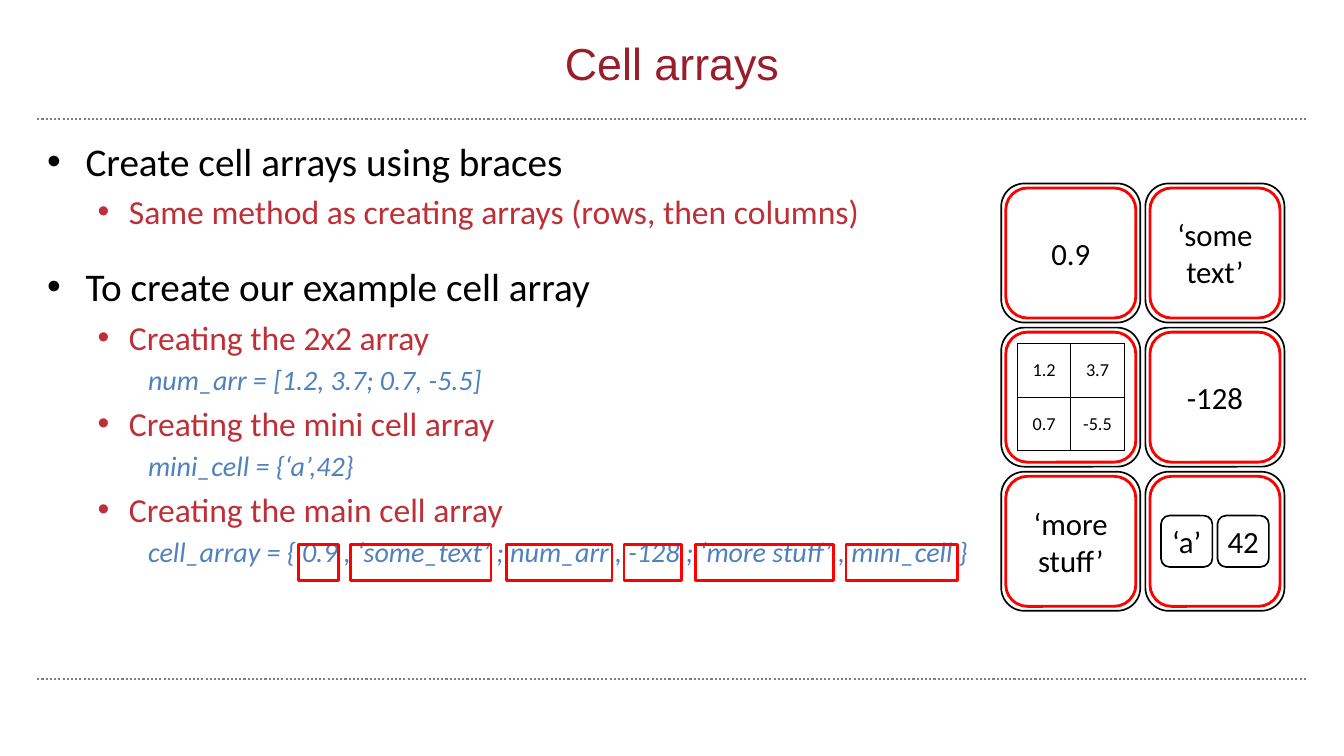
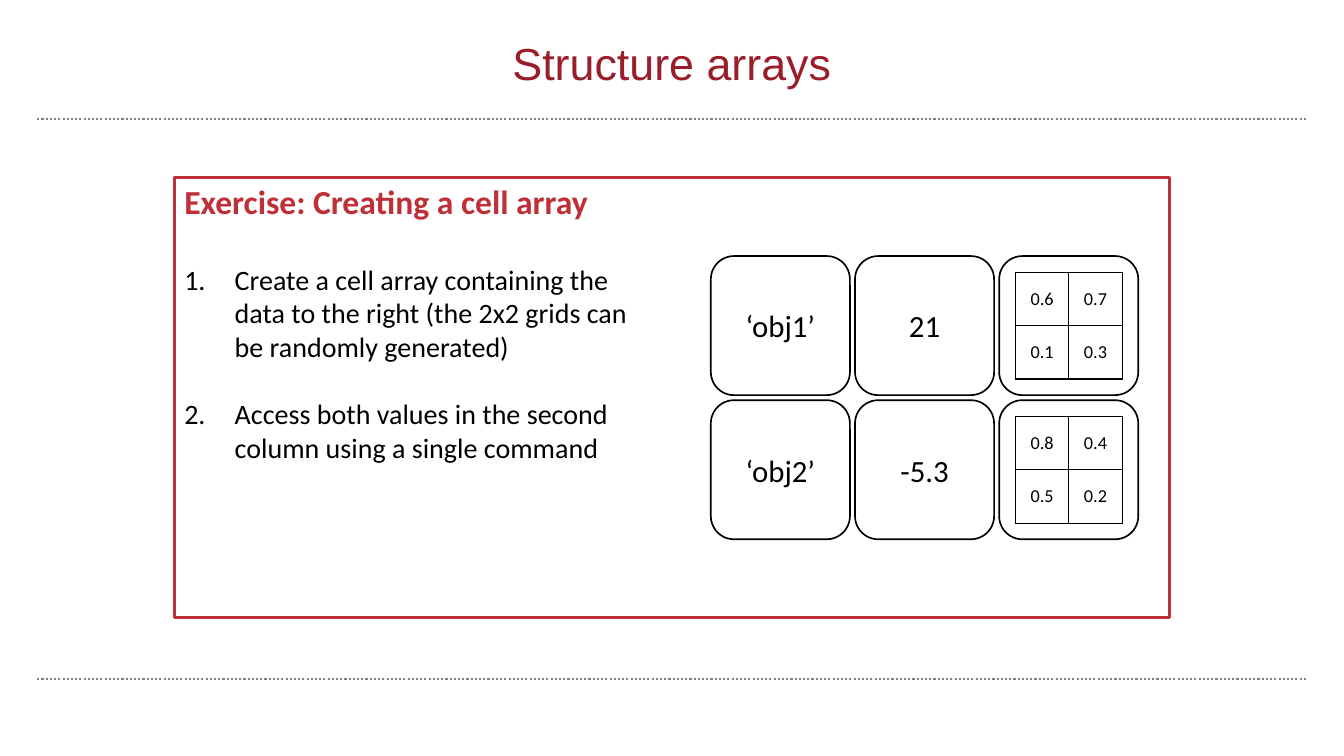
from pptx import Presentation
from pptx.dml.color import RGBColor
from pptx.enum.dml import MSO_LINE
from pptx.enum.shapes import MSO_CONNECTOR, MSO_SHAPE
from pptx.enum.text import MSO_ANCHOR, PP_ALIGN
from pptx.oxml import parse_xml
from pptx.oxml.ns import nsdecls, qn
from pptx.util import Inches, Pt
from lxml.etree import SubElement

WIDTH, HEIGHT = 13.33, 7.5
MARGIN = 0.37
RULES_Y = (1.18, 6.74)

BLACK = RGBColor(0x00, 0x00, 0x00)
WHITE = RGBColor(0xFF, 0xFF, 0xFF)
GREY = RGBColor(0x80, 0x80, 0x80)
TITLE_RED = RGBColor(0x9A, 0x1D, 0x2B)
ACCENT_RED = RGBColor(0xBF, 0x2F, 0x37)
CODE_BLUE = RGBColor(0x4F, 0x81, 0xBD)
HIGHLIGHT = RGBColor(0xFF, 0x00, 0x00)

CELL, PITCH = 1.38, 1.43
RING = 1.29
MINI_CELL, MINI_PITCH = 0.51, 0.56
MATRIX_CELL = 0.53

# style: size, colour, italic, left margin, indent, bullet
LEVELS = [
    (28, BLACK, False, 0.38, -0.38, "•"),
    (24, ACCENT_RED, False, 0.81, -0.31, "•"),
    (20, CODE_BLUE, True, 1, 0, None),
]
GAP_BEFORE_EXAMPLE = 17
# level, text, extra space before
OUTLINE = [
    (0, "Create cell arrays using braces", 0),
    (1, "Same method as creating arrays (rows, then columns)", 0),
    (0, "To create our example cell array", GAP_BEFORE_EXAMPLE),
    (1, "Creating the 2x2 array", 0),
    (2, "num_arr = [1.2, 3.7; 0.7, -5.5]", 0),
    (1, "Creating the mini cell array", 0),
    (2, "mini_cell = {‘a’,42}", 0),
    (1, "Creating the main cell array", 0),
    (2, "cell_array = { 0.9 , ‘some_text’ ; num_arr , -128 ; ‘more stuff’ , mini_cell }", 0),
]
# left and width of the box round each element of the command
CODE_BOXES = [(2.96, 0.4), (3.48, 1.39), (5.02, 1.05),
              (6.19, 0.57), (6.9, 1.37), (8.39, 1.11)]
CODE_BOX_TOP, CODE_BOX_HEIGHT = 5.4, 0.36

# a text fills a cell, a tuple is a nested cell array, a list is a matrix
EXAMPLE_CELLS = [
    ["0.9", "‘some text’"],
    [[["1.2", "3.7"], ["0.7", "-5.5"]], "-128"],
    ["‘more stuff’", ("‘a’", "42")],
]
EXERCISE_CELLS = [
    ["‘obj1’", "21", [["0.6", "0.7"], ["0.1", "0.3"]]],
    ["‘obj2’", "-5.3", [["0.8", "0.4"], ["0.5", "0.2"]]],
]
EXERCISE_TITLE = "Exercise: Creating a cell array"
# text, space before
EXERCISE_STEPS = [
    ("Create a cell array containing the data to the right "
     "(the 2x2 grids can be randomly generated)", 29),
    ("Access both values in the second column using a single command", 24),
]


def inches(*lengths):
    return [Inches(length) for length in lengths]


def format_paragraph(paragraph, size, color, font="Calibri", bold=False, italic=False):
    for run in paragraph.runs:
        run.font.name = font
        run.font.size = Pt(size)
        run.font.color.rgb = color
        run.font.bold = bold
        run.font.italic = italic


def set_indent(paragraph, left, indent, bullet=None, numbered=False):
    properties = paragraph._p.get_or_add_pPr()
    properties.set("marL", str(Inches(left)))
    properties.set("indent", str(Inches(indent)))
    if numbered:
        SubElement(properties, qn("a:buFont"), typeface="+mj-lt")
        SubElement(properties, qn("a:buAutoNum"), type="arabicPeriod")
    elif bullet:
        SubElement(properties, qn("a:buFont"), typeface="Arial")
        SubElement(properties, qn("a:buChar"), char=bullet)
    else:
        SubElement(properties, qn("a:buNone"))


def add_text_box(slide, left, top, width, height):
    frame = slide.shapes.add_textbox(*inches(left, top, width, height)).text_frame
    frame.word_wrap = True
    return frame


def add_outlined(slide, kind, left, top, width, height, color, weight, fill=None):
    shape = slide.shapes.add_shape(kind, *inches(left, top, width, height))
    shape.shadow.inherit = False
    if fill is None:
        shape.fill.background()
    else:
        shape.fill.solid()
        shape.fill.fore_color.rgb = fill
    shape.line.color.rgb = color
    shape.line.width = Pt(weight)
    return shape


def add_cell(slide, left, top, size, text="", inset=0.03):
    shape = add_outlined(slide, MSO_SHAPE.ROUNDED_RECTANGLE, left, top, size, size, BLACK, 1.2)
    frame = shape.text_frame
    frame.margin_left = frame.margin_right = Inches(inset)
    frame.margin_top = frame.margin_bottom = 0
    frame.vertical_anchor = MSO_ANCHOR.MIDDLE
    frame.word_wrap = True
    if text:
        paragraph = frame.paragraphs[0]
        paragraph.text = text
        paragraph.alignment = PP_ALIGN.CENTER
        format_paragraph(paragraph, 22, BLACK)


def add_borders(cell):
    properties = cell._tc.get_or_add_tcPr()
    for position, side in enumerate(("lnL", "lnR", "lnT", "lnB")):
        properties.insert(position, parse_xml(
            f'<a:{side} {nsdecls("a")} w="{Pt(1)}"><a:solidFill>'
            f'<a:srgbClr val="{BLACK}"/></a:solidFill></a:{side}>'))


def add_matrix(slide, center_x, center_y, values):
    rows, columns = len(values), len(values[0])
    width, height = columns * MATRIX_CELL, rows * MATRIX_CELL
    table = slide.shapes.add_table(rows, columns, *inches(
        center_x - width / 2, center_y - height / 2, width, height)).table
    table.first_row = table.horz_banding = False
    for row, texts in enumerate(values):
        for column, text in enumerate(texts):
            cell = table.cell(row, column)
            cell.fill.background()
            cell.margin_left = cell.margin_right = cell.margin_top = cell.margin_bottom = 0
            cell.vertical_anchor = MSO_ANCHOR.MIDDLE
            paragraph = cell.text_frame.paragraphs[0]
            paragraph.text = text
            paragraph.alignment = PP_ALIGN.CENTER
            format_paragraph(paragraph, 13, BLACK)
            add_borders(cell)


def add_cell_array(slide, left, top, rows, ringed=False):
    """Draw the cells of an array with their contents, optionally with a red ring in each."""
    for row, contents in enumerate(rows):
        for column, content in enumerate(contents):
            x, y = left + column * PITCH, top + row * PITCH
            center_x, center_y = x + CELL / 2, y + CELL / 2
            add_cell(slide, x, y, CELL, content if isinstance(content, str) else "")
            if isinstance(content, list):
                add_matrix(slide, center_x, center_y, content)
            elif isinstance(content, tuple):
                span = (len(content) - 1) * MINI_PITCH + MINI_CELL
                for index, text in enumerate(content):
                    add_cell(slide, center_x - span / 2 + index * MINI_PITCH,
                             center_y - MINI_CELL / 2, MINI_CELL, text, inset=0)
            if ringed:
                add_outlined(slide, MSO_SHAPE.ROUNDED_RECTANGLE, center_x - RING / 2,
                             center_y - RING / 2, RING, RING, HIGHLIGHT, 2)


def add_titled_slide(presentation, title):
    slide = presentation.slides.add_slide(presentation.slide_layouts[6])
    for y in RULES_Y:
        rule = slide.shapes.add_connector(
            MSO_CONNECTOR.STRAIGHT, *inches(MARGIN, y, WIDTH - MARGIN, y))
        rule.line.color.rgb = GREY
        rule.line.width = Pt(1.5)
        rule.line.dash_style = MSO_LINE.ROUND_DOT
        SubElement(rule._element.spPr, qn("a:effectLst"))
    frame = add_text_box(slide, 2.64, 0.28, 8.05, 0.66)
    frame.vertical_anchor = MSO_ANCHOR.BOTTOM
    frame.text = title
    frame.paragraphs[0].alignment = PP_ALIGN.CENTER
    format_paragraph(frame.paragraphs[0], 32, TITLE_RED, font="Arial")
    return slide


def build_cell_arrays(presentation):
    slide = add_titled_slide(presentation, "Cell arrays")
    frame = add_text_box(slide, MARGIN, 1.31, WIDTH - 2 * MARGIN, 5.39)
    frame.text = "\n".join(text for _, text, _ in OUTLINE)
    for index, (paragraph, (level, _, extra)) in enumerate(zip(frame.paragraphs, OUTLINE)):
        size, color, italic, left, indent, bullet = LEVELS[level]
        paragraph.level = level
        paragraph.space_before = Pt(0.2 * size + extra if index else 0)
        set_indent(paragraph, left, indent, bullet)
        format_paragraph(paragraph, size, color, italic=italic)
    add_cell_array(slide, 9.93, 1.82, EXAMPLE_CELLS, ringed=True)
    for left, width in CODE_BOXES:
        add_outlined(slide, MSO_SHAPE.RECTANGLE, left, CODE_BOX_TOP, width,
                     CODE_BOX_HEIGHT, HIGHLIGHT, 2)


def build_exercise(presentation):
    slide = add_titled_slide(presentation, "Structure arrays")
    add_outlined(slide, MSO_SHAPE.RECTANGLE, 1.73, 1.76, 9.87, 4.37, ACCENT_RED, 2, WHITE)
    frame = add_text_box(slide, 1.73, 1.75, 4.93, 2.93)
    frame.text = "\n".join([EXERCISE_TITLE] + [text for text, _ in EXERCISE_STEPS])
    heading, *steps = frame.paragraphs
    format_paragraph(heading, 24, ACCENT_RED, bold=True)
    for paragraph, (_, space) in zip(steps, EXERCISE_STEPS):
        paragraph.space_before = Pt(space)
        set_indent(paragraph, 0.5, -0.5, numbered=True)
        format_paragraph(paragraph, 20, BLACK)
    add_cell_array(slide, 7.05, 2.54, EXERCISE_CELLS)


def main():
    presentation = Presentation()
    presentation.slide_width, presentation.slide_height = inches(WIDTH, HEIGHT)
    build_cell_arrays(presentation)
    build_exercise(presentation)
    presentation.save("out.pptx")


if __name__ == "__main__":
    main()
